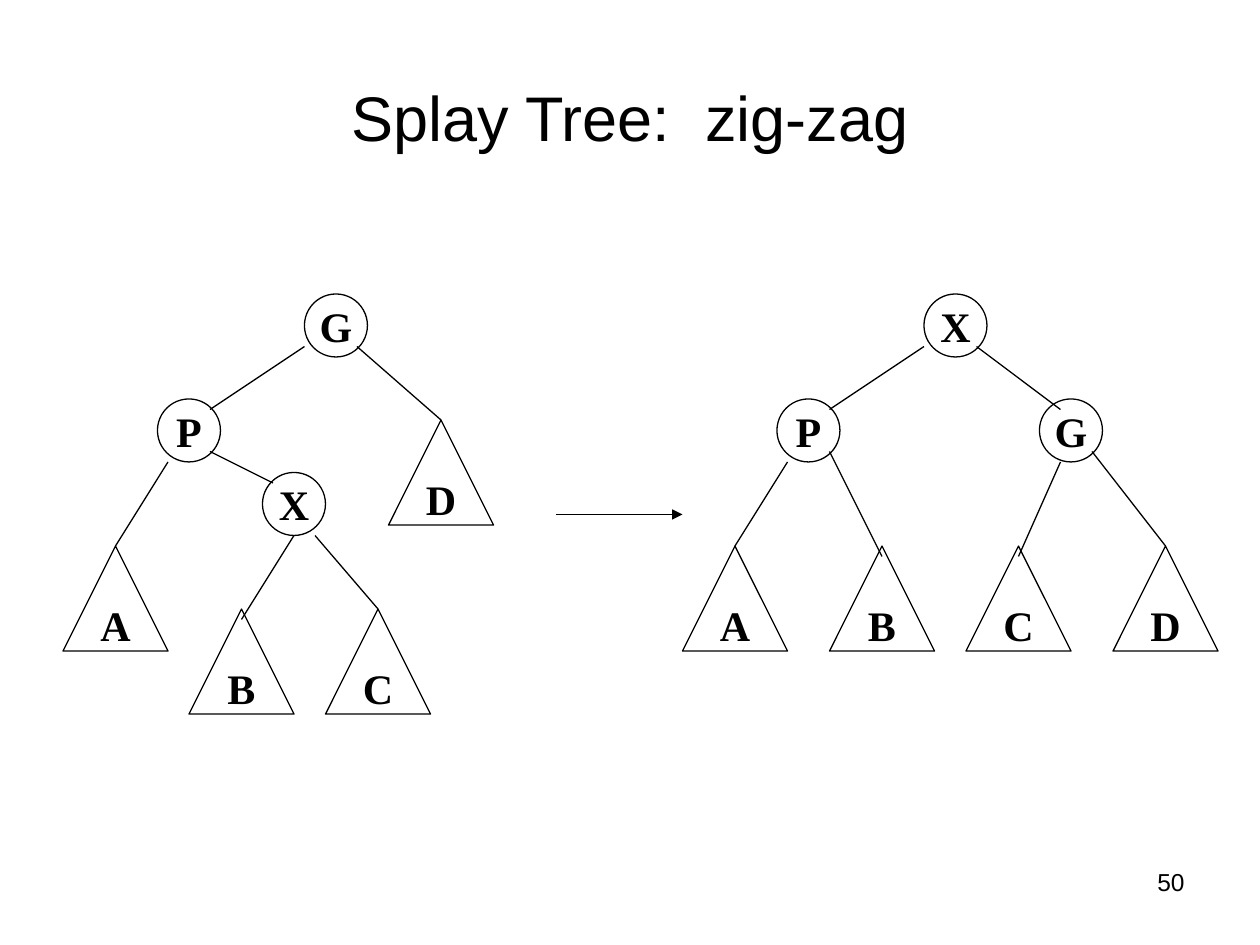
from typing import NamedTuple, Union

from lxml import etree
from pptx import Presentation
from pptx.dml.color import RGBColor
from pptx.enum import shapes, text
from pptx.oxml.ns import qn
from pptx.util import Pt

COLORS = {"ink": "000000", "paper": "FFFFFF"}
NODE_SIZE, SUBTREE_SIZE = 36, 60
LINE_WIDTH = 0.75


class Part(NamedTuple):
    label: str
    left: float
    top: float


class Edge(NamedTuple):
    start: tuple[float, float]
    end: Union[tuple[float, float], str]  # a point, or the subtree whose apex is met


class Tree(NamedTuple):
    nodes: list[Part]
    subtrees: list[Part]
    edges: list[Edge]


BEFORE = Tree(
    nodes=[Part("G", 174, 168), Part("X", 150, 270), Part("P", 90, 228)],
    subtrees=[Part("A", 36, 312), Part("B", 108, 348),
              Part("C", 186, 348), Part("D", 222, 240)],
    edges=[Edge((174, 198), (120, 234)), Edge((96, 264), "A"),
           Edge((120, 258), (156, 276)), Edge((168, 306), (138, 354)),
           Edge((180, 306), "C"), Edge((204, 198), "D")],
)
AFTER = Tree(
    nodes=[Part("X", 528, 168), Part("G", 594, 228), Part("P", 444, 228)],
    subtrees=[Part("A", 390, 312), Part("B", 474, 312),
              Part("C", 552, 312), Part("D", 636, 312)],
    edges=[Edge((528, 198), (474, 234)), Edge((450, 264), "A"),
           Edge((474, 258), (504, 318)), Edge((606, 264), (582, 318)),
           Edge((558, 198), (606, 234)), Edge((624, 258), "D")],
)


def color(name: str) -> RGBColor:
    return RGBColor.from_string(COLORS[name])


def write(frame, content: str, *, size: float, font: str = "Arial", bold: bool = False,
          align=text.PP_ALIGN.CENTER, anchor=text.MSO_ANCHOR.MIDDLE,
          wrap: bool = True) -> None:
    frame.word_wrap = wrap
    frame.vertical_anchor = anchor
    paragraph = frame.paragraphs[0]
    paragraph.alignment = align
    run = paragraph.add_run()
    run.text = content
    run.font.name, run.font.size, run.font.bold = font, Pt(size), bold
    run.font.color.rgb = color("ink")


def style_line(line) -> None:
    line.color.rgb = color("ink")
    line.width = Pt(LINE_WIDTH)


def draw_part(slide, part: Part, kind, size: float):
    shape = slide.shapes.add_shape(kind, Pt(part.left), Pt(part.top), Pt(size), Pt(size))
    shape.shadow.inherit = False
    shape.fill.background()
    style_line(shape.line)
    write(shape.text_frame, part.label, size=24, font="Times New Roman",
          bold=True, wrap=False)
    return shape


def draw_line(slide, start: tuple[float, float], end: tuple[float, float]):
    connector = slide.shapes.add_connector(
        shapes.MSO_CONNECTOR.STRAIGHT, *(Pt(value) for value in (*start, *end)))
    style_line(connector.line)
    etree.SubElement(connector._element.spPr, qn("a:effectLst"))
    return connector


def draw_tree(slide, tree: Tree) -> None:
    for node in tree.nodes:
        draw_part(slide, node, shapes.MSO_SHAPE.OVAL, NODE_SIZE)
    subtrees = {
        part.label: draw_part(slide, part, shapes.MSO_SHAPE.ISOSCELES_TRIANGLE, SUBTREE_SIZE)
        for part in tree.subtrees
    }
    for edge in tree.edges:
        if isinstance(edge.end, str):
            branch = draw_line(slide, edge.start, edge.start)
            branch.end_connect(subtrees[edge.end], 0)
        else:
            draw_line(slide, edge.start, edge.end)


def main() -> None:
    deck = Presentation()
    deck.slide_width, deck.slide_height = Pt(720), Pt(540)
    slide = deck.slides.add_slide(deck.slide_layouts[5])
    slide.background.fill.solid()
    slide.background.fill.fore_color.rgb = color("paper")

    # Title
    title = slide.shapes.title
    title.left, title.top, title.width, title.height = Pt(36), Pt(21.6), Pt(648), Pt(90)
    write(title.text_frame, "Splay Tree:  zig-zag", size=36)

    # Trees before and after the rotation, with the arrow between them
    draw_tree(slide, BEFORE)
    rotation = draw_line(slide, (318, 294), (390, 294))
    etree.SubElement(rotation.line._get_or_add_ln(), qn("a:tailEnd"), type="triangle")
    draw_tree(slide, AFTER)

    # Slide number
    number = slide.shapes.add_textbox(Pt(516), Pt(492), Pt(168), Pt(37.5))
    write(number.text_frame, "50", size=14, align=text.PP_ALIGN.RIGHT,
          anchor=text.MSO_ANCHOR.TOP)

    deck.save("out.pptx")


if __name__ == "__main__":
    main()
